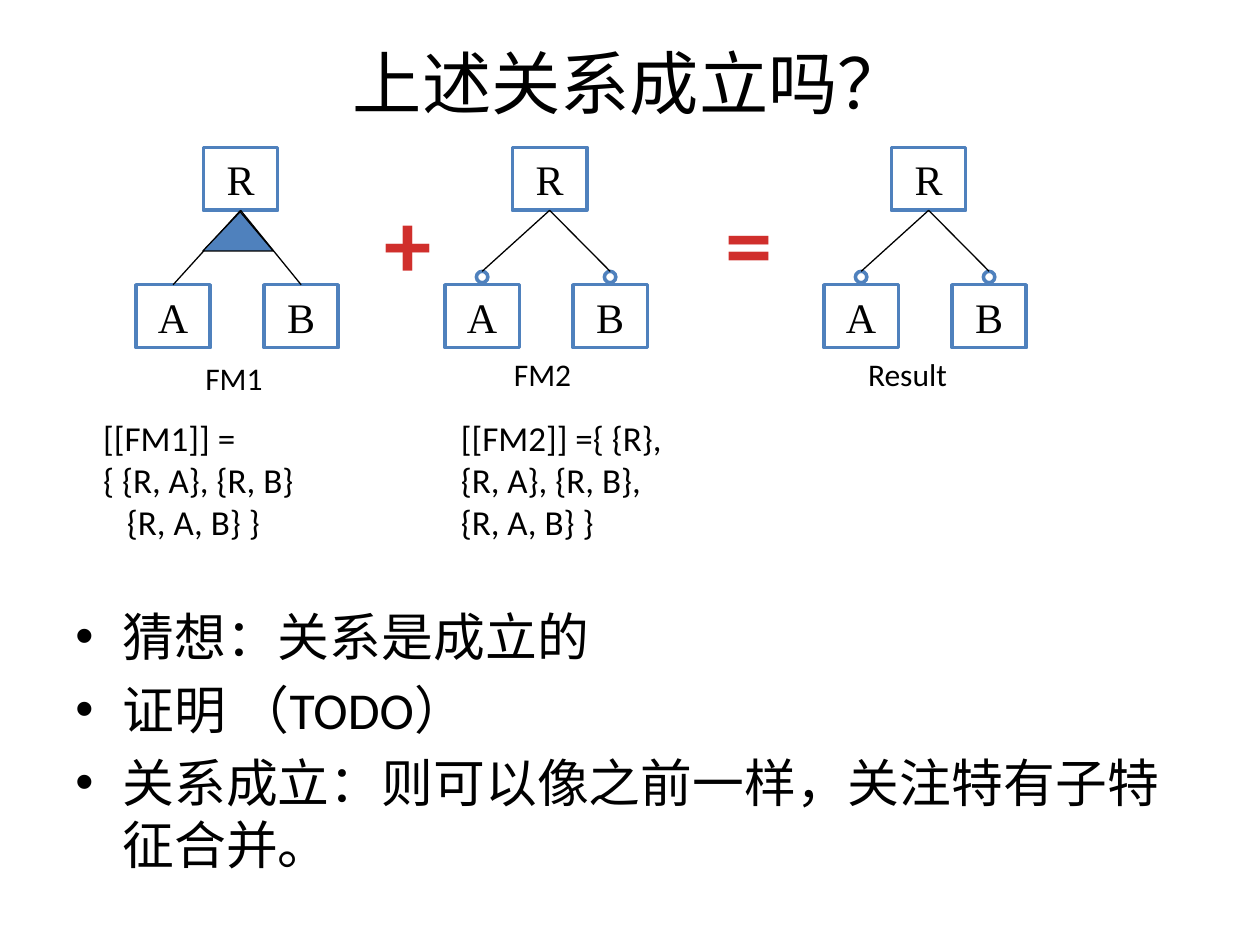
from pptx import Presentation
from pptx.dml.color import RGBColor
from pptx.enum.shapes import MSO_CONNECTOR, MSO_SHAPE
from pptx.enum.text import MSO_ANCHOR, PP_ALIGN
from pptx.oxml.ns import qn
from pptx.util import Cm, Pt
from lxml import etree

RECT, OVAL, TRIANGLE = MSO_SHAPE.RECTANGLE, MSO_SHAPE.OVAL, MSO_SHAPE.ISOSCELES_TRIANGLE
STRAIGHT = MSO_CONNECTOR.STRAIGHT
TOP, MIDDLE = MSO_ANCHOR.TOP, MSO_ANCHOR.MIDDLE
LEFT, CENTER = PP_ALIGN.LEFT, PP_ALIGN.CENTER

BLACK = RGBColor(0x00, 0x00, 0x00)
WHITE = RGBColor(0xFF, 0xFF, 0xFF)
BLUE = RGBColor(0x4F, 0x81, 0xBD)
RED = RGBColor(0xD0, 0x2F, 0x2C)

TITLE = {"name": "Calibri", "size": Pt(39.6)}
BODY = {"name": "Calibri", "size": Pt(29.6)}
NODE = {"name": "Times New Roman", "size": Pt(24)}
SIGN = {"name": "Calibri", "size": Pt(54), "bold": True}
FORMULA = {"name": "Calibri", "size": Pt(20)}
LABEL = {"name": "Calibri", "size": Pt(18)}

NODE_W, NODE_H = 1.5, 1.27
CIRCLE = 0.23
TREE_TOP = 2.97


def set_font(p, fmt, color=BLACK):
    for key, value in fmt.items():
        setattr(p.font, key, value)
    p.font.color.rgb = color


def add_text(slide, box, lines, fmt, color=BLACK, align=LEFT, anchor=TOP):
    tf = slide.shapes.add_textbox(*map(Cm, box)).text_frame
    tf.word_wrap = True
    tf.vertical_anchor = anchor
    tf.text = "\n".join(lines)
    for p in tf.paragraphs:
        p.alignment = align
        set_font(p, fmt, color)
    return tf


def add_figure(slide, kind, box, fill, line, weight):
    sp = slide.shapes.add_shape(kind, *map(Cm, box))
    sp.shadow.inherit = False
    sp.fill.solid()
    sp.fill.fore_color.rgb = fill
    sp.line.color.rgb = line
    sp.line.width = Pt(weight)
    return sp


def add_node(slide, left, top, name):
    sp = add_figure(slide, RECT, (left, top, NODE_W, NODE_H), WHITE, BLUE, 2)
    tf = sp.text_frame
    tf.word_wrap = False
    tf.vertical_anchor = MIDDLE
    tf.text = name
    tf.paragraphs[0].alignment = CENTER
    set_font(tf.paragraphs[0], NODE)
    return sp


def add_edge(slide, parent, child):
    line = slide.shapes.add_connector(STRAIGHT, 0, 0, 0, 0)
    line.begin_connect(parent, 2)
    line.end_connect(child, 0)
    line.line.color.rgb = BLACK
    line.line.width = Pt(0.75)
    etree.SubElement(line._element.spPr, qn("a:effectLst"))


def add_tree(slide, left, top, optional):
    root = add_node(slide, left + 1.36, top, "R")
    for name, dx in (("A", 0), ("B", 2.58)):
        child = add_node(slide, left + dx, top + 2.77, name)
        if optional:
            circle_left = left + dx + (NODE_W - CIRCLE) / 2
            child = add_figure(slide, OVAL, (circle_left, top + 2.5, CIRCLE, CIRCLE),
                               WHITE, BLUE, 2)
        add_edge(slide, root, child)
    if not optional:
        sp = add_figure(slide, TRIANGLE, (left + 1.35, top + 1.3, 1.42, 0.79),
                        BLUE, BLACK, 0.75)
        sp.adjustments[0] = 0.53


def add_bullets(slide, box, lines):
    tf = add_text(slide, box, lines, {}, BLACK)
    for i, p in enumerate(tf.paragraphs):
        pPr = p._p.get_or_add_pPr()
        pPr.set("marL", str(Cm(0.95)))
        pPr.set("indent", str(-Cm(0.95)))
        if i:
            p.space_before = Pt(6)
        bullet_font = etree.Element(qn("a:buFont"), typeface="Arial")
        bullet = etree.Element(qn("a:buChar"), char="•")
        pPr.find(qn("a:defRPr")).addprevious(bullet_font)
        bullet_font.addnext(bullet)
        set_font(p, BODY)


def add_equation(slide):
    for left, optional in ((2.74, False), (8.97, True), (16.61, True)):
        add_tree(slide, left, TREE_TOP, optional)
    for left, sign in ((7.42, "+"), (14.3, "=")):
        add_text(slide, (left, 3.58, 1.6, 2.57), [sign], SIGN, RED, CENTER)
    for left, top, label in ((3.89, 7.11, "FM1"), (10.11, 7.04, "FM2"), (17.25, 7.04, "Result")):
        add_text(slide, (left, top, 2.7, 1.27), [label], LABEL)


def add_formulas(slide):
    tf = add_text(slide, (1.83, 8.28, 5.56, 2.82),
                  ["[[FM1]] =", "{ {R, A}, {R, B}", "{R, A, B} }"], FORMULA)
    tf.paragraphs[2]._p.get_or_add_pPr().set("marL", str(Cm(0.48)))
    add_text(slide, (9.04, 8.28, 5.28, 2.82),
             ["[[FM2]] ={ {R},", "{R, A}, {R, B},", "{R, A, B} }"], FORMULA)


def main():
    prs = Presentation()
    prs.slide_width, prs.slide_height = Cm(25.4), Cm(19.05)
    slide = prs.slides.add_slide(prs.slide_layouts[6])
    add_text(slide, (1.27, 0.76, 22.86, 1.78), ["上述关系成立吗？"], TITLE,
             align=CENTER, anchor=MIDDLE)
    add_equation(slide)
    add_formulas(slide)
    add_bullets(slide, (1.27, 12.07, 22.86, 5.28),
                ["猜想：关系是成立的", "证明 （TODO）",
                 "关系成立：则可以像之前一样，关注特有子特征合并。"])
    prs.save("out.pptx")


if __name__ == "__main__":
    main()
